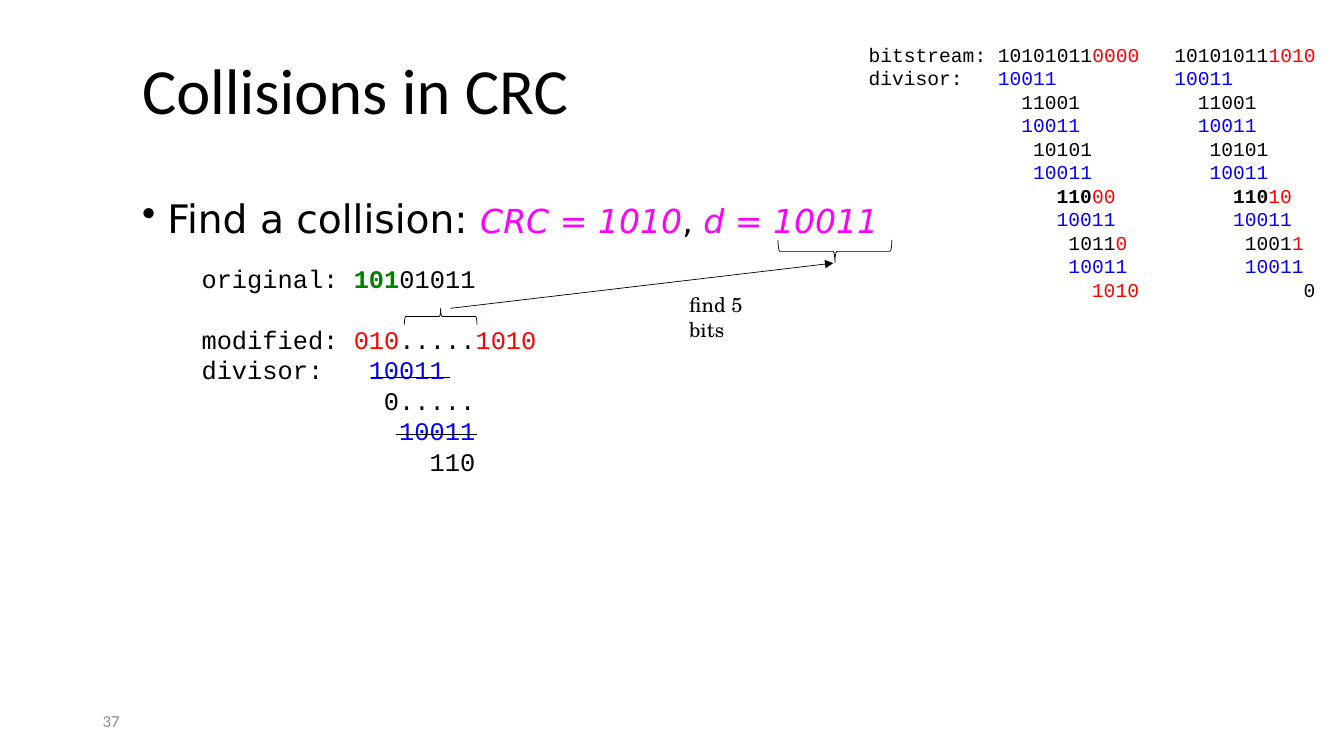
"""Build the slide on collisions in CRC."""
from dataclasses import dataclass

from lxml import etree
from pptx import Presentation
from pptx import util as u
from pptx.dml import color
from pptx.enum import shapes, text
from pptx.oxml import ns

BLACK, RED, BLUE, GREEN, PINK, GREY = "000000", "FF0000", "0000FF", "008000", "FF00FF", "8C8C8C"
MONO = "Courier New"
CHAR_RATIO = 0.6


@dataclass
class Run:
    text: str
    color: str = BLACK
    bold: bool = False
    italic: bool = False
    size: float | None = None


@dataclass
class Row:
    runs: list[Run]
    cols: tuple[int, ...] = ()
    before: float = 0


@dataclass
class Box:
    x: float
    y: float
    w: float
    h: float
    font: str
    size: float
    rows: list[Row]
    inset: bool = False
    middle: bool = False
    spacing: float | None = None


@dataclass
class Brace:
    kind: shapes.MSO_SHAPE
    x: float
    y: float
    w: float
    h: float


@dataclass
class Line:
    x1: float
    y1: float
    x2: float
    y2: float
    arrow: bool = False


def rgb(value: str) -> color.RGBColor:
    return color.RGBColor.from_string(value)


def pair(col: int, *runs: Run) -> Row:
    return Row(list(runs), (col, col + 15))


def divisor(col: int) -> Row:
    return pair(col, Run("\t10011\t10011", BLUE))


def draw_box(s, box: Box):
    sp = s.shapes.add_textbox(u.Cm(box.x), u.Cm(box.y), u.Cm(box.w), u.Cm(box.h))
    tf = sp.text_frame
    tf.word_wrap = True
    if box.middle:
        tf.vertical_anchor = text.MSO_ANCHOR.MIDDLE
    if not box.inset:
        tf.margin_left = tf.margin_top = tf.margin_right = tf.margin_bottom = 0
    for i, row in enumerate(box.rows):
        p = tf.paragraphs[0] if i == 0 else tf.add_paragraph()
        p.space_before = u.Pt(row.before)
        if box.spacing:
            p.line_spacing = box.spacing
        for run in row.runs:
            r = p.add_run()
            r.text = run.text
            r.font.name = box.font
            r.font.size = u.Pt(run.size or box.size)
            r.font.bold, r.font.italic = run.bold, run.italic
            r.font.color.rgb = rgb(run.color)
        if row.cols:
            tabs = etree.SubElement(p._p.get_or_add_pPr(), ns.qn("a:tabLst"))
            for col in row.cols:
                pos = u.Pt(col * CHAR_RATIO * box.size)
                etree.SubElement(tabs, ns.qn("a:tab"), pos=str(pos), algn="l")
    return sp


def add_bullet(p, indent: u.Length) -> None:
    pPr = p._p.get_or_add_pPr()
    pPr.set("marL", str(indent))
    pPr.set("indent", str(-indent))
    etree.SubElement(pPr, ns.qn("a:buChar"), char="•")


def draw_brace(s, brace: Brace) -> None:
    sp = s.shapes.add_shape(brace.kind, u.Cm(brace.x), u.Cm(brace.y), u.Cm(brace.w), u.Cm(brace.h))
    sp.rotation = 90
    sp.shadow.inherit = False
    sp.fill.background()
    sp.line.color.rgb = rgb(BLACK)
    sp.line.width = u.Pt(0.5)


def draw_line(s, line: Line) -> None:
    c = s.shapes.add_connector(shapes.MSO_CONNECTOR.STRAIGHT, u.Cm(line.x1), u.Cm(line.y1),
                               u.Cm(line.x2), u.Cm(line.y2))
    c.line.color.rgb = rgb(BLACK)
    c.line.width = u.Pt(0.5)
    if line.arrow:
        etree.SubElement(c.line._get_or_add_ln(), ns.qn("a:tailEnd"), type="triangle")
    etree.SubElement(c._element.spPr, ns.qn("a:effectLst"))


TITLE = Box(3.33, 1.35, 21.67, 2.03, "Calibri", 46, [Row([Run("Collisions in CRC")])],
            inset=True, middle=True, spacing=0.9)
NUMBER = Box(2.34, 17.65, 7.62, 1.02, "Calibri", 12, [Row([Run("37", GREY)])],
             inset=True, middle=True)
TASK = Box(3.33, 4.9, 21.97, 3.48, "DejaVu Sans", 23.6, [
    Row([Run("Find a collision: ", size=28), Run("CRC = 1010", PINK, italic=True),
         Run(", "), Run("d = 10011", PINK, italic=True)], before=10),
], inset=True, spacing=0.9)
HINT = Box(17.37, 7.37, 2.08, 0.64, "TeX Gyre Schola", 14.5, [Row([Run("find 5 bits")])])
SEARCH = Box(5.08, 6.63, 16.92, 6.73, MONO, 18.1, [
    Row([Run("original: "), Run("101", GREEN, bold=True), Run("01011")]),
    Row([Run("modified: "), Run("010", RED), Run("....."), Run("1010", RED)], before=21.8),
    Row([Run("divisor:\t"), Run("10011", BLUE)], (11,)),
    Row([Run("\t0.....")], (12,)),
    Row([Run("\t10011", BLUE)], (13,)),
    Row([Run("\t110")], (15,)),
])
DIVISION = Box(21.89, 1.07, 11.38, 5.49, MONO, 14, [
    pair(11, Run("bitstream:\t10101011"), Run("0000", RED), Run("\t10101011"), Run("1010", RED)),
    pair(11, Run("divisor:"), Run("\t10011\t10011", BLUE)),
    pair(13, Run("\t11001\t11001")),
    divisor(13),
    pair(14, Run("\t10101\t10101")),
    divisor(14),
    pair(16, Run("\t110", bold=True), Run("00", RED), Run("\t110", bold=True), Run("10", RED)),
    divisor(16),
    pair(17, Run("\t1011"), Run("0", RED), Run("\t1001"), Run("1", RED)),
    divisor(17),
    Row([Run("\t1010", RED), Run("\t0")], (19, 37)),
])
BRACES = [
    Brace(shapes.MSO_SHAPE.LEFT_BRACE, 10.9, 7.06, 0.41, 1.83),
    Brace(shapes.MSO_SHAPE.RIGHT_BRACE, 20.75, 4.9, 0.58, 2.87),
]
LINES = [
    Line(11.35, 7.77, 21, 6.63, arrow=True),
    Line(9.35, 9.5, 11.35, 9.5),
    Line(9.98, 10.95, 12.01, 10.95),
]


def main() -> None:
    prs = Presentation()
    prs.slide_width, prs.slide_height = u.Cm(33.87), u.Cm(19.05)
    s = prs.slides.add_slide(prs.slide_layouts[6])
    for box in (SEARCH, NUMBER, TITLE, HINT, DIVISION):
        draw_box(s, box)
    task = draw_box(s, TASK)
    add_bullet(task.text_frame.paragraphs[0], u.Cm(0.64))
    for brace in BRACES:
        draw_brace(s, brace)
    for line in LINES:
        draw_line(s, line)
    prs.save("out.pptx")


if __name__ == "__main__":
    main()
